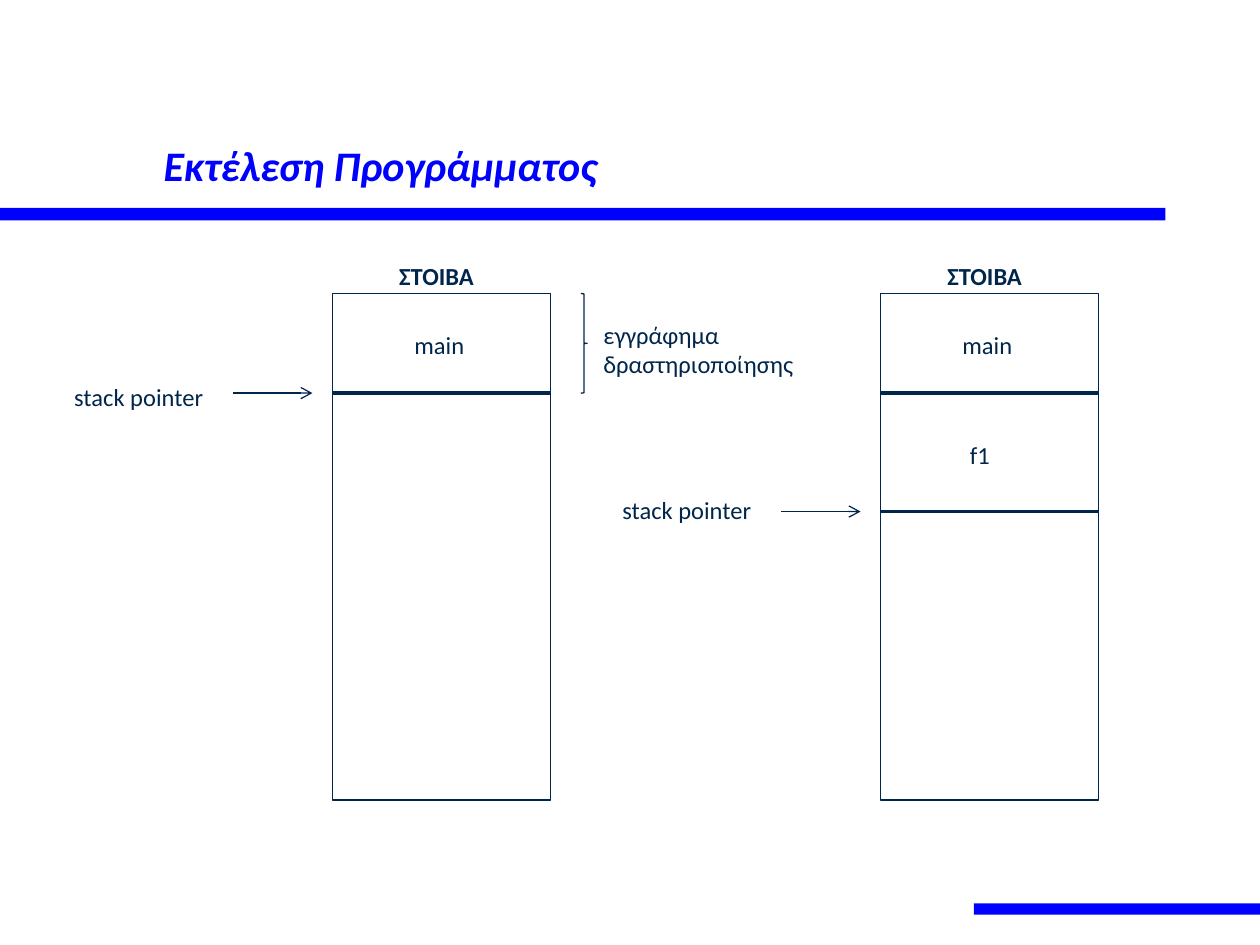
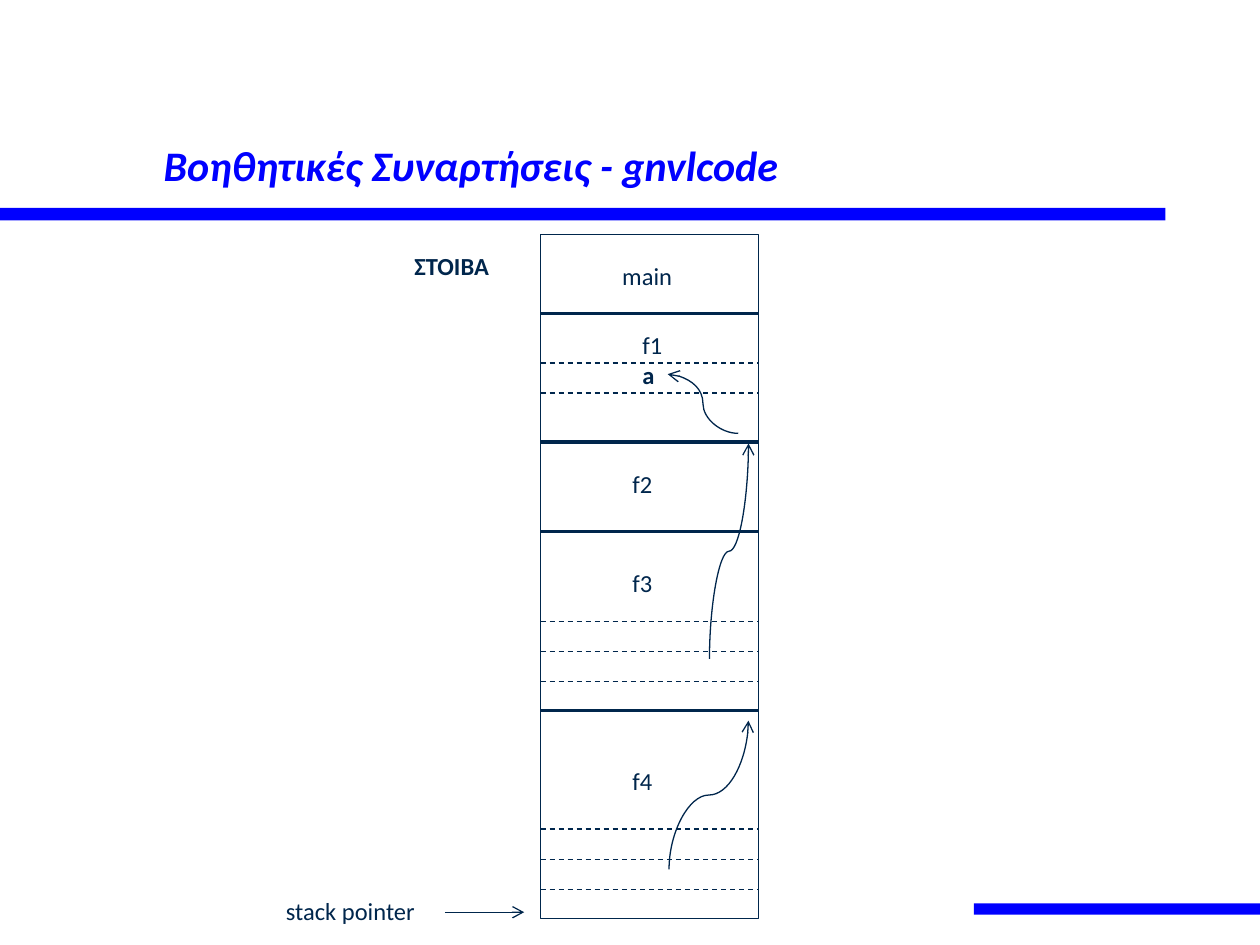
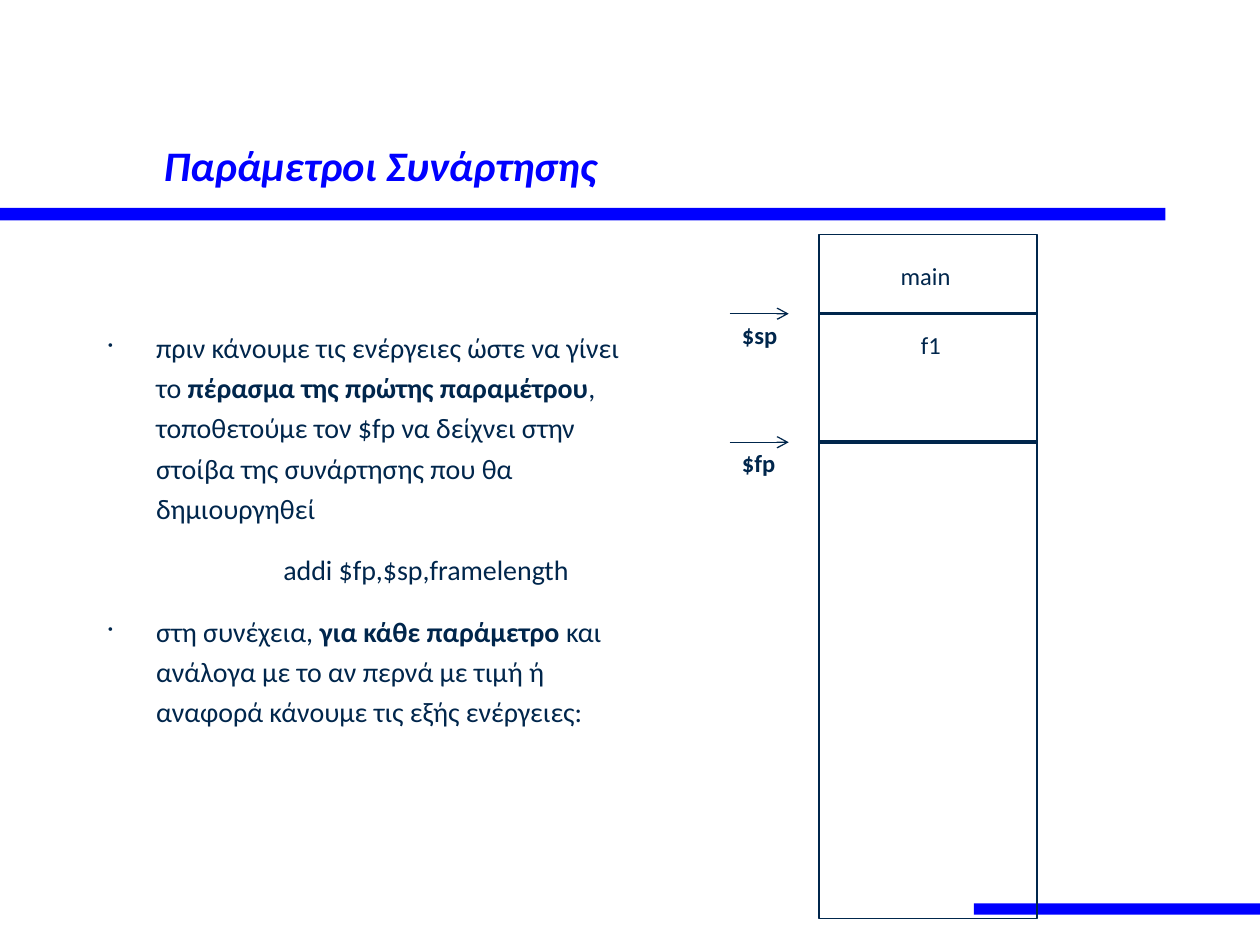
from dataclasses import dataclass
from typing import NamedTuple

from lxml import etree
from pptx import Presentation
from pptx.dml.color import RGBColor
from pptx.enum.dml import MSO_LINE
from pptx.enum.shapes import MSO_CONNECTOR, MSO_SHAPE
from pptx.enum.text import MSO_ANCHOR, MSO_AUTO_SIZE
from pptx.oxml.ns import qn
from pptx.util import Inches, Pt

STRAIGHT = MSO_CONNECTOR.STRAIGHT
CURVE = MSO_CONNECTOR.CURVE
RECTANGLE = MSO_SHAPE.RECTANGLE
RIGHT_BRACE = MSO_SHAPE.RIGHT_BRACE
DASH = MSO_LINE.DASH
TOP = MSO_ANCHOR.TOP
BOTTOM = MSO_ANCHOR.BOTTOM
FIT_SHAPE = MSO_AUTO_SIZE.SHAPE_TO_FIT_TEXT
FIT_NONE = MSO_AUTO_SIZE.NONE


@dataclass(frozen=True)
class Theme:
    font: str = "Calibri"
    accent: RGBColor = RGBColor(0x00, 0x00, 0xFF)
    ink: RGBColor = RGBColor(0x00, 0x26, 0x4C)
    title_size: int = 24
    body_size: int = 16
    label_size: int = 14
    thin: float = 0.75
    thick: float = 2


class Box(NamedTuple):
    left: float
    top: float
    width: float
    height: float

    def inside(self, left, top, width, height):
        return Box(self.left + left, self.top + top, width, height)

    def point(self, left, top):
        return self.left + left, self.top + top

    def inches(self):
        return [Inches(value) for value in self]


THEME = Theme()
SLIDE = Box(0, 0, 10, 7.5)
TITLE = Box(1.2, 0.31, 8.5, 1.25)
BANDS = (Box(0, 1.65, 9.25, 0.1), Box(7.73, 7.17, 2.27, 0.09))
TALL_LABELS = (("main", 0.55, 0.16, 0.6), ("f1", 0.71, 0.71, 0.36))
LABEL_HEIGHT = 0.34


def add_text(slide, text, box, size=THEME.label_size, color=THEME.ink, bold=False,
             italic=False, wrap=False, anchor=TOP, fit=FIT_SHAPE):
    shape = slide.shapes.add_textbox(*box.inches())
    frame = shape.text_frame
    frame.word_wrap = wrap
    frame.auto_size = fit
    frame.vertical_anchor = anchor
    for index, line in enumerate(text.split("\n")):
        paragraph = frame.paragraphs[0] if index == 0 else frame.add_paragraph()
        for part, words in enumerate(line.split("**")):
            run = paragraph.add_run()
            run.text = words
            run.font.name = THEME.font
            run.font.size = Pt(size)
            run.font.color.rgb = color
            run.font.bold = bold or part % 2 == 1
            run.font.italic = italic
    return shape


def add_band(slide, box):
    shape = slide.shapes.add_shape(RECTANGLE, *box.inches())
    shape.shadow.inherit = False
    shape.fill.solid()
    shape.fill.fore_color.rgb = THEME.accent
    shape.line.fill.background()


def add_outline(slide, kind, box):
    shape = slide.shapes.add_shape(kind, *box.inches())
    shape.shadow.inherit = False
    shape.fill.background()
    shape.line.color.rgb = THEME.ink
    shape.line.width = Pt(THEME.thin)


def add_line(slide, start, end, kind=STRAIGHT, width=THEME.thin, dash=None, arrow=False):
    connector = slide.shapes.add_connector(kind, *[Inches(value) for value in (*start, *end)])
    connector.line.color.rgb = THEME.ink
    connector.line.width = Pt(width)
    if dash:
        connector.line.dash_style = dash
    properties = connector._element.spPr
    if arrow:
        etree.SubElement(properties.find(qn("a:ln")), qn("a:tailEnd"), type="arrow")
    etree.SubElement(properties, qn("a:effectLst"))
    return connector


def add_rising_curve(slide, start, end):
    center_x = (start[0] + end[0]) / 2
    center_y = (start[1] + end[1]) / 2
    turned = [(center_x + y - center_y, center_y - x + center_x) for x, y in (start, end)]
    connector = add_line(slide, *turned, kind=CURVE, arrow=True)
    connector._element.spPr.find(qn("a:xfrm")).set("rot", "5400000")


def add_stack(slide, box, dividers, labels, dashes=()):
    add_outline(slide, RECTANGLE, box)
    styles = [(depth, {"width": THEME.thick}) for depth in dividers]
    styles += [(depth, {"dash": DASH}) for depth in dashes]
    for depth, style in styles:
        add_line(slide, box.point(0, depth), box.point(box.width, depth), **style)
    for text, left, top, width in labels:
        add_text(slide, text, box.inside(left, top, width, LABEL_HEIGHT))


def add_heading(slide, box, left, top):
    add_text(slide, "ΣΤΟΙΒΑ", box.inside(left, top, 0.8, LABEL_HEIGHT), bold=True)


def add_pointer(slide, box, depth, start, end, text, label, **text_format):
    add_line(slide, box.point(start, depth), box.point(end, depth), arrow=True)
    left, drop, width = label
    add_text(slide, text, box.inside(left, depth + drop, width, LABEL_HEIGHT), **text_format)


def add_body(slide, box):
    text = ("πριν κάνουμε τις ενέργειες ώστε να γίνει το **πέρασμα της πρώτης παραμέτρου**, "
            "τοποθετούμε τον $fp να δείχνει στην στοίβα της συνάρτησης που θα δημιουργηθεί\n"
            "addi $fp,$sp,framelength\n"
            "στη συνέχεια, **για κάθε παράμετρο **και ανάλογα με το αν περνά με τιμή ή "
            "αναφορά κάνουμε τις εξής ενέργειες:")
    shape = add_text(slide, text, box, size=THEME.body_size, wrap=True, fit=FIT_NONE)
    for index, paragraph in enumerate(shape.text_frame.paragraphs):
        is_code = index == 1
        properties = paragraph._p.get_or_add_pPr()
        properties.set("marL", str(Inches(1.4 if is_code else 0.39)))
        properties.set("indent", str(Inches(0 if is_code else -0.38)))
        if not is_code:
            etree.SubElement(properties, qn("a:buSzPct"), val="50000")
            etree.SubElement(properties, qn("a:buChar"), char="•")
        paragraph.line_spacing = 1.2
        if index:
            paragraph.space_before = Pt(12)


def add_titled_slide(presentation, title):
    slide = presentation.slides.add_slide(presentation.slide_layouts[6])
    for band in BANDS:
        add_band(slide, band)
    add_text(slide, title, TITLE, size=THEME.title_size, color=THEME.accent, bold=True,
             italic=True, wrap=True, anchor=BOTTOM, fit=FIT_NONE)
    return slide


def build_execution(presentation):
    slide = add_titled_slide(presentation, "Εκτέλεση Προγράμματος")
    before = Box(2.64, 2.33, 1.73, 4.02)
    after = before._replace(left=6.99)
    main_depth, f1_depth = 0.79, 1.73
    main_label = ("main", 0.55, 0.24, 0.6)
    f1_label = ("f1", 0.61, 1.11, 0.36)
    stacks = (
        (before, (main_depth,), (main_label,), -0.14),
        (after, (main_depth, f1_depth), (main_label, f1_label), -0.18),
    )
    for box, dividers, labels, drop in stacks:
        add_stack(slide, box, dividers, labels)
        add_heading(slide, box, 0.43, -0.31)
        add_pointer(slide, box, dividers[-1], -0.79, -0.16, "stack pointer",
                    (-2.15, drop, 1.42), wrap=True)
    add_outline(slide, RIGHT_BRACE, before.inside(1.97, 0, 0.05, main_depth))
    add_text(slide, "εγγράφημα\nδραστηριοποίησης", before.inside(2.05, 0.16, 1.81, 0.57),
             wrap=True)


def build_helpers(presentation):
    slide = add_titled_slide(presentation, "Βοηθητικές Συναρτήσεις - gnvlcode")
    box = Box(4.29, 1.86, 1.73, 5.43)
    frame_labels = [(name, 0.63, top, 0.36)
                    for name, top in (("f2", 1.81), ("f3", 2.6), ("f4", 4.17))]
    dashes = [1.02, 1.26]
    dashes += [first + step * 0.24 for first in (3.07, 4.72) for step in range(3)]
    add_stack(slide, box, (0.63, 1.65, 2.36, 3.78), (*TALL_LABELS, *frame_labels), dashes)
    add_heading(slide, box, -1.1, 0.08)
    add_text(slide, "a", box.inside(0.71, 0.95, 0.3, LABEL_HEIGHT), bold=True)
    add_pointer(slide, box, 5.38, -0.76, -0.13, "stack pointer", (-2.12, -0.18, 1.42),
                wrap=True)
    add_rising_curve(slide, box.point(1.02, 5.04), box.point(1.65, 3.86))
    add_rising_curve(slide, box.point(1.34, 3.37), box.point(1.65, 1.66))
    add_line(slide, box.point(1.57, 1.58), box.point(1.01, 1.11), kind=CURVE, arrow=True)


def build_parameters(presentation):
    slide = add_titled_slide(presentation, "Παράμετροι Συνάρτησης")
    add_body(slide, Box(0.75, 2.52, 4.41, 4.14))
    box = Box(6.5, 1.86, 1.73, 5.43)
    registers = (("$sp", 0.63), ("$fp", 1.65))
    add_stack(slide, box, [depth for _, depth in registers], TALL_LABELS)
    for name, depth in registers:
        add_pointer(slide, box, depth, -0.71, -0.24, name, (-0.71, 0, 0.52), bold=True)


def main():
    presentation = Presentation()
    presentation.slide_width = Inches(SLIDE.width)
    presentation.slide_height = Inches(SLIDE.height)
    build_execution(presentation)
    build_helpers(presentation)
    build_parameters(presentation)
    presentation.save("out.pptx")


if __name__ == "__main__":
    main()
